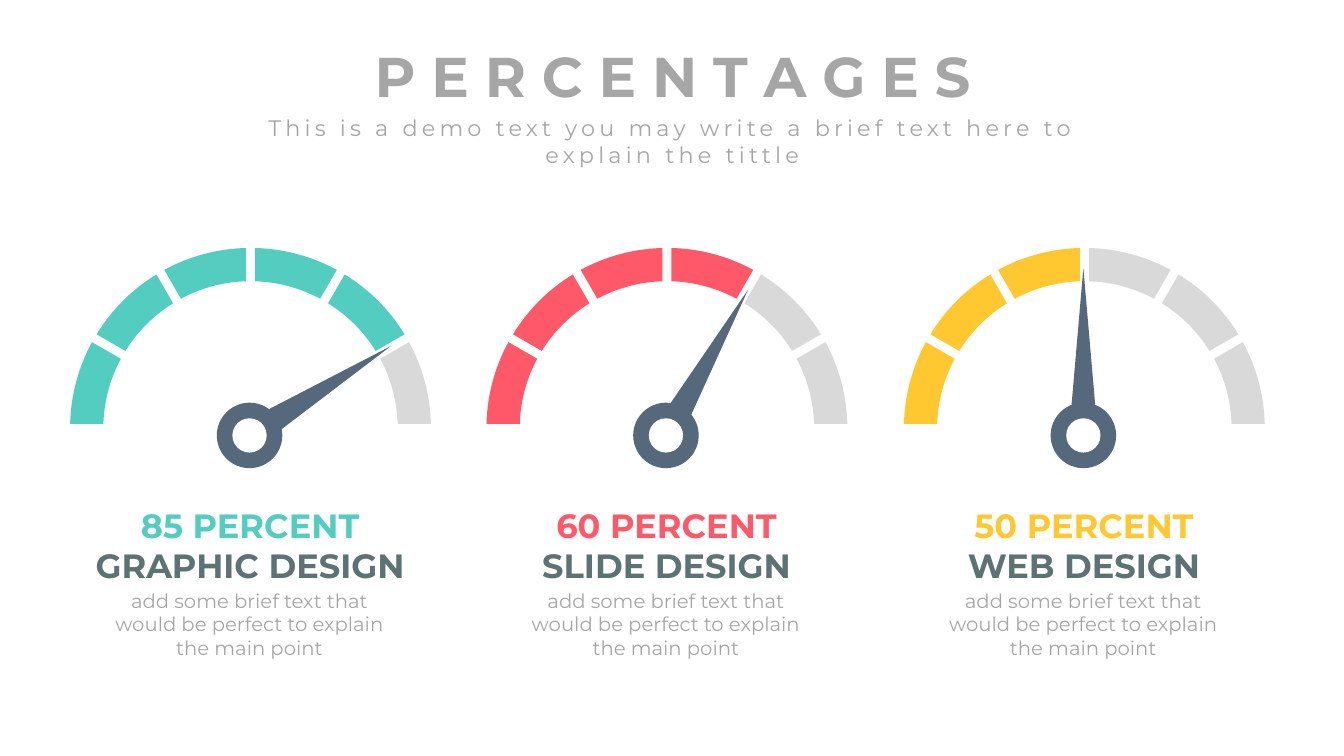
import math
import pptx
import pptx.dml.color
import pptx.enum.shapes
import pptx.enum.text
import pptx.oxml
import pptx.oxml.ns
import pptx.util

PX = 9144
FONT = "Montserrat"
KIND = pptx.enum.shapes.MSO_SHAPE
HEX = {
    "teal": "52CDC0",
    "red": "FF5969",
    "gold": "FFC730",
    "rest": "D9D9D9",
    "needle": "55687C",
    "name": "5D7373",
    "text": "A6A6A6",
    "white": "FFFFFF",
}
DIALS = [
    ("85 PERCENT", "GRAPHIC DESIGN", "teal", 5, 57.7),
    ("60 PERCENT", "SLIDE DESIGN", "red", 4, 29.4),
    ("50 PERCENT", "WEB DESIGN", "gold", 3, 0),
]
BRIEF = "add some brief text that would be perfect to explain the main point"
PARTS = 6
OUTER, INNER, GAP = 179, 146, 9
HUB, HOLE, TIP, BASE, DROP = 65, 34, 166, 14, 4


def emu(px):
    return round(px * PX)


def color(key):
    return pptx.dml.color.RGBColor.from_string(HEX[key])


def paint(shape, key):
    shape.shadow.inherit = False
    shape.fill.solid()
    shape.fill.fore_color.rgb = color(key)
    shape.line.fill.background()


def point(x, y, radius, angle):
    turn = math.radians(angle)
    return x + radius * math.cos(turn), y - radius * math.sin(turn)


def bend(x, y, radius, start, end):
    sweep = math.radians(end - start)
    pull = radius * 4 / 3 * math.tan(sweep / 4)
    first, last = point(x, y, radius, start), point(x, y, radius, end)
    return [first, point(*first, pull, start + 90),
            point(*last, -pull, end + 90), last]


def outline(slide, dots, key, curves):
    dots = [(emu(x), emu(y)) for x, y in dots]
    pen = slide.shapes.build_freeform(*dots[0], scale=1.0)
    pen.add_line_segments(dots[1:], close=True)
    shape = pen.convert_to_shape()
    lines = shape._element.findall(".//" + pptx.oxml.ns.qn("a:lnTo"))
    for start in curves:
        curve = pptx.oxml.parse_xml(
            f'<a:cubicBezTo {pptx.oxml.ns.nsdecls("a")}/>')
        lines[start].addprevious(curve)
        for line in lines[start:start + 3]:
            curve.append(line[0])
            line.getparent().remove(line)
    paint(shape, key)
    return shape


def write(slide, box, text, size, key, bold=False, space=0):
    frame = slide.shapes.add_textbox(*map(emu, box)).text_frame
    frame.word_wrap = True
    para = frame.paragraphs[0]
    para.text = text
    para.alignment = pptx.enum.text.PP_ALIGN.CENTER
    font = para.font
    font.name, font.size, font.bold = FONT, pptx.util.Pt(size), bold
    font.color.rgb = color(key)
    if space:
        para.runs[0]._r.get_or_add_rPr().set("spc", str(space * 100))


def disk(slide, kind, x, y, size, key):
    box = (x - size / 2, y - size / 2, size, size)
    shape = slide.shapes.add_shape(kind, *map(emu, box))
    paint(shape, key)
    return shape


def scale(slide, x, y, key, full):
    step = 180 / PARTS
    out, inn = (math.degrees(math.asin(GAP / 2 / r)) for r in (OUTER, INNER))
    for i in range(PARTS):
        high, low = 180 - step * i, 180 - step * (i + 1)
        dots = bend(x, y, OUTER, high - out, low + out)
        dots += bend(x, y, INNER, low + inn, high - inn)
        outline(slide, dots, key if i < full else "rest", (0, 4))


def needle(slide, x, y, turn):
    disk(slide, KIND.DONUT, x, y, HUB, "needle").adjustments[0] = 0.417
    root = (x, y - DROP, BASE)
    dots = [(x, y - TIP)] + bend(*root, 0, -90) + bend(*root, -90, -180)[1:]
    hand = outline(slide, dots, "needle", (1, 4))
    mid = point(x, y, (TIP + DROP - BASE) / 2, 90 - turn)
    hand.left = emu(mid[0]) - hand.width // 2
    hand.top = emu(mid[1]) - hand.height // 2
    hand.rotation = turn
    disk(slide, KIND.OVAL, x, y, HOLE, "white")


def dial(slide, box, rate, name, key, full, turn):
    left, top, width = box
    mid = left + width / 2 - 1
    scale(slide, mid + 1, top + 179, key, full)
    needle(slide, mid, top + 186, turn)
    write(slide, (mid - 122, top + 250, 245, 50), rate, 24, key, True)
    write(slide, (mid - 169, top + 290, 339, 50), name, 24, "name", True)
    write(slide, (mid - 158, top + 333, 316, 81), BRIEF, 14, "text")


def header(slide, box):
    left, top, width = box
    write(slide, (left + 29, top, width - 58, 77),
          "P E R C E N T A G E S", 40, "text", True)
    write(slide, (left, top + 72, width, 64),
          "This is a demo text you may write a brief text here "
          "to explain the tittle", 16, "text", space=3)


def main():
    deck = pptx.Presentation()
    deck.slide_width, deck.slide_height = emu(1333), emu(750)
    slide = deck.slides.add_slide(deck.slide_layouts[6])
    for i, data in enumerate(DIALS):
        dial(slide, (68 + 827 * i // 2, 246, 361), *data)
    header(slide, (240, 36, 854))
    deck.save("out.pptx")


if __name__ == "__main__":
    main()
